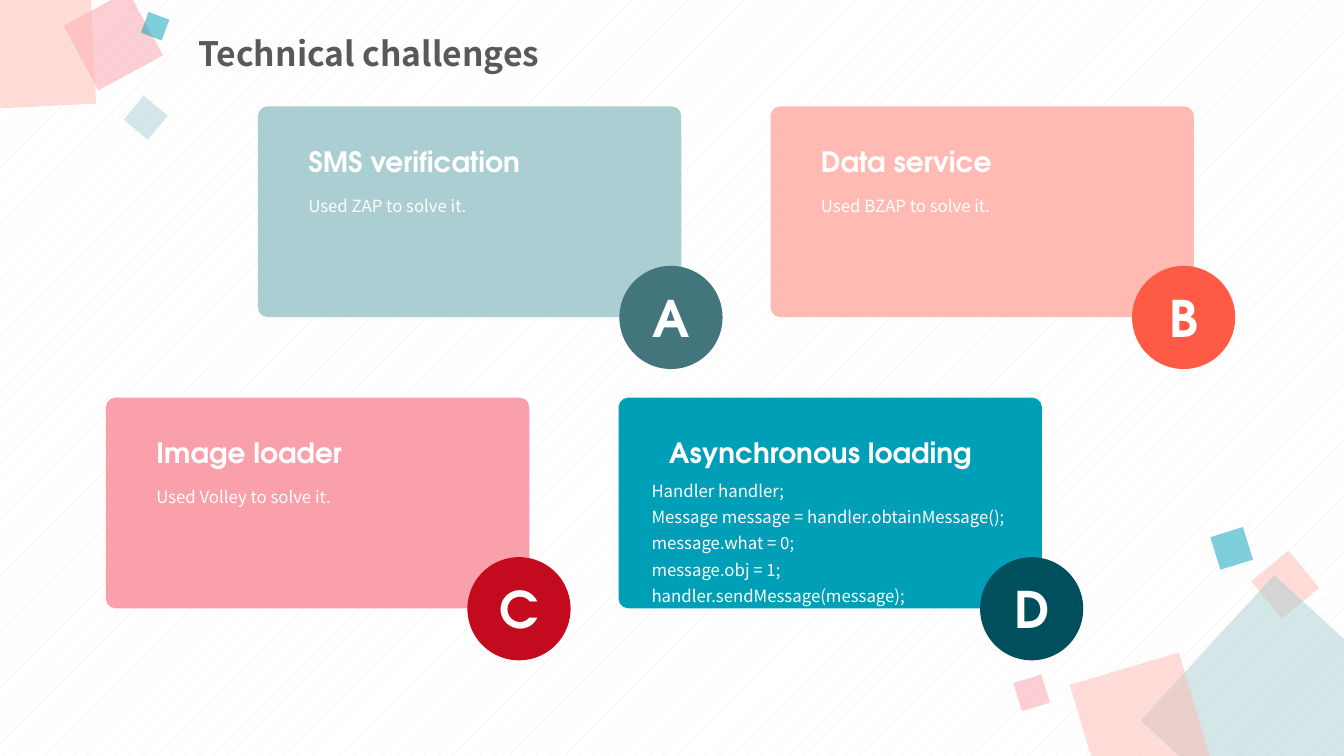
"""Build the slide of four technical challenges on lettered cards."""
from dataclasses import dataclass
from lxml.etree import SubElement
from pptx import Presentation
from pptx.dml.color import RGBColor
from pptx.enum.dml import MSO_PATTERN
from pptx.enum.shapes import MSO_SHAPE
from pptx.enum.text import MSO_ANCHOR, MSO_AUTO_SIZE, PP_ALIGN
from pptx.oxml.ns import qn
from pptx.util import Cm, Pt


@dataclass(frozen=True)
class Theme:
    sans: str = "Noto Sans CJK SC"
    geo: str = "TeX Gyre Adventor"
    title: int = 24
    head: int = 20
    body: int = 12
    badge: int = 36
    white: str = "FFFFFF"
    grey: str = "595959"
    blush: str = "F5E5E4"
    mist: str = "AACED2"
    peach: str = "FFBBB3"
    pink: str = "FAA0AA"
    teal: str = "009FB8"
    slate: str = "42767C"
    coral: str = "FF5A46"
    red: str = "C30A1F"
    deep: str = "004F5C"


theme = Theme()


def draw(kind, left, top, wide, high, color):
    shape = slide.shapes.add_shape(kind, Cm(left), Cm(top), Cm(wide), Cm(high))
    shape.shadow.inherit = False
    shape.fill.solid()
    shape.fill.fore_color.rgb = RGBColor.from_string(color)
    shape.line.fill.background()
    return shape


def write(shape, text, font, size, color, bold=True, align=PP_ALIGN.LEFT, space=1.3):
    frame = shape.text_frame
    frame.text = text
    frame.word_wrap = True
    frame.auto_size = MSO_AUTO_SIZE.NONE
    for para in frame.paragraphs:
        para.alignment = align
        para.line_spacing = space
        for run in para.runs:
            run.font.name = font
            run.font.size = Pt(size)
            run.font.bold = bold
            run.font.color.rgb = RGBColor.from_string(color)
    return frame


deck = Presentation()
deck.slide_width, deck.slide_height = Cm(33.87), Cm(19.05)
slide = deck.slides.add_slide(deck.slide_layouts[5])
back = slide.background.fill
back.patterned()
back.pattern = MSO_PATTERN.PERCENT_5
back.fore_color.rgb = RGBColor.from_string(theme.blush)
back.back_color.rgb = RGBColor.from_string(theme.white)

squares = [
    (31.78, 14.12, 1.22, 320.6, theme.peach),
    (29.77, 15.52, 4.98, 42.6, theme.mist),
    (27.31, 16.79, 2.87, 343.4, theme.peach),
    (25.63, 17.09, 0.74, 342.8, theme.pink),
    (30.61, 13.39, 0.86, 342.8, theme.teal),
    (1.93, 0.1, 1.85, 331.6, theme.pink),
    (-1.17, -0.81, 3.51, 357.2, theme.peach),
    (3.28, 2.57, 0.79, 309.8, theme.mist),
    (3.63, 0.38, 0.56, 290.5, theme.teal),
]
for left, top, side, turn, color in squares:
    square = draw(MSO_SHAPE.RECTANGLE, left, top, side, side, color)
    square.rotation = turn
    tint = square.fill._xPr.find(qn("a:solidFill"))[0]
    SubElement(tint, qn("a:alpha")).set("val", "50000")

title = slide.shapes.title
title.left, title.top, title.width, title.height = Cm(4.75), Cm(0.66), Cm(15.57), Cm(1.47)
frame = write(title, "Technical challenges", theme.sans, theme.title, theme.grey, space=0.9)
frame.vertical_anchor = MSO_ANCHOR.MIDDLE
frame.paragraphs[0].space_before = Pt(10)

code = "\n".join([
    "Handler handler;",
    "Message message = handler.obtainMessage();",
    "message.what = 0;",
    "message.obj = 1;",
    "handler.sendMessage(message);",
])
note = (1.02, 1.98, 8.81, 0.86)
cards = [
    ("A", "SMS verification", "Used ZAP to solve it.", note, theme.mist, theme.slate),
    ("B", "Data service", "Used BZAP to solve it.", note, theme.peach, theme.coral),
    ("C", "Image loader", "Used Volley to solve it.", note, theme.pink, theme.red),
    ("D", "Asynchronous loading", code, (0.58, 1.82, 10.9, 3.58), theme.teal, theme.deep),
]
rows = [(6.5, 2.68), (2.67, 10.02)]
pitch = 12.92
for index, (letter, head, body, place, light, dark) in enumerate(cards):
    start, top = rows[index // 2]
    left = start + index % 2 * pitch
    card = draw(MSO_SHAPE.ROUNDED_RECTANGLE, left, top, 10.67, 5.31, light)
    card.adjustments[0] = 0.046
    badge = draw(MSO_SHAPE.OVAL, left + 9.11, top + 4.02, 2.6, 2.6, dark)
    frame = write(badge, letter, theme.geo, theme.badge, theme.white,
                  align=PP_ALIGN.CENTER, space=1.0)
    frame.vertical_anchor = MSO_ANCHOR.MIDDLE
    across, down, wide, high = place
    box = slide.shapes.add_textbox(Cm(left + across), Cm(top + down), Cm(wide), Cm(high))
    write(box, body, theme.sans, theme.body, theme.white, bold=False)
    box = slide.shapes.add_textbox(Cm(left + 1.02), Cm(top + 0.58), Cm(8.81), Cm(1.24))
    write(box, head, theme.geo, theme.head, theme.white)

deck.save("out.pptx")
